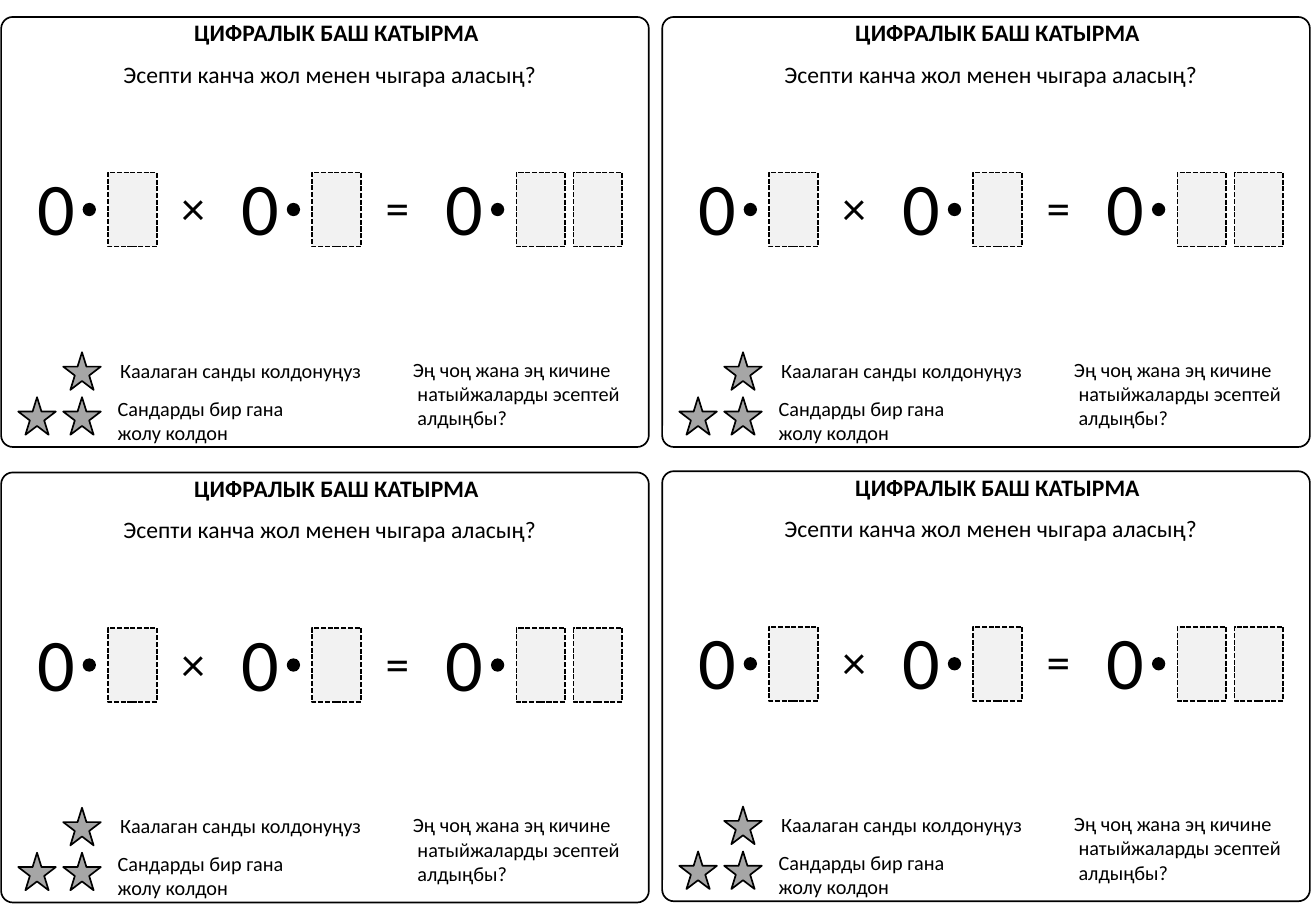
"""Builds a sheet of four identical decimal multiplication puzzle cards."""
from pptx import Presentation
from pptx.dml.color import RGBColor
from pptx.enum.dml import MSO_LINE
from pptx.enum.shapes import MSO_SHAPE as Shape
from pptx.enum.text import MSO_AUTO_SIZE as AutoSize, PP_ALIGN as Align
from pptx.util import Inches, Pt

COLORS = {"ink": "000000", "star": "A6A6A6", "digit": "F2F2F2"}
FONT = "Calibri"
CARD_W, CARD_H = 5.33, 3.54
CARD_ORIGINS = [(0.01, 0.14), (5.45, 0.14), (0.01, 3.89), (5.45, 3.88)]
STAR = 0.31
STAR_SPOTS = [(0.51, 2.76), (0.51, 3.13), (0.14, 3.13)]
TERM_LEFT, TERM_STEP = 0.2, 1.68
DIGIT_W, DIGIT_H, DIGIT_STEP = 0.4, 0.61, 0.47
DIGIT_COUNTS = [1, 1, 2]
SIGNS = ["×", "="]
DOT = 0.11
LABELS = [
    (1.49, 0.01, 2.56, 0.24, ["ЦИФРАЛЫК БАШ КАТЫРМА"], 14, Align.LEFT),
    (0.89, 0.3, 3.63, 0.34, ["Эсепти канча жол менен чыгара аласың?"], 14, Align.CENTER),
    (0.88, 2.76, 2.21, 0.3, ["Каалаган санды колдонуңуз"], 12, Align.LEFT),
    (0.86, 3.07, 1.62, 0.5, ["Сандарды бир гана", "жолу колдон"], 12, Align.LEFT),
    (3.29, 2.75, 1.93, 0.91,
     ["Эң чоң жана эң кичине", " натыйжаларды эсептей", " алдыңбы?"], 12, Align.LEFT),
]


def add_figure(shapes, kind, left, top, width, height, fill=None, outlined=True):
    figure = shapes.add_shape(kind, Inches(left), Inches(top), Inches(width), Inches(height))
    figure.shadow.inherit = False
    if fill:
        figure.fill.solid()
        figure.fill.fore_color.rgb = RGBColor.from_string(COLORS[fill])
    else:
        figure.fill.background()
    if outlined:
        figure.line.color.rgb = RGBColor.from_string(COLORS["ink"])
        figure.line.width = Pt(1)
    else:
        figure.line.fill.background()
    return figure


def add_label(shapes, left, top, width, height, lines, size, align=Align.LEFT):
    label = shapes.add_textbox(Inches(left), Inches(top), Inches(width), Inches(height))
    frame = label.text_frame
    frame.text = "\n".join(lines)
    frame.word_wrap = False
    frame.auto_size = AutoSize.SHAPE_TO_FIT_TEXT
    for paragraph in frame.paragraphs:
        paragraph.alignment = align
        for run in paragraph.runs:
            run.font.name = FONT
            run.font.size = Pt(size)
            run.font.color.rgb = RGBColor.from_string(COLORS["ink"])
    return frame


prs = Presentation()
prs.slide_width, prs.slide_height = Inches(10.83), Inches(7.5)
slide = prs.slides.add_slide(prs.slide_layouts[6])

for x, y in CARD_ORIGINS:
    card = add_figure(slide.shapes, Shape.ROUNDED_RECTANGLE, x, y, CARD_W, CARD_H)
    card.adjustments[0] = 0.027

    heading, *_ = [
        add_label(slide.shapes, x + left, y + top, *rest) for left, top, *rest in LABELS
    ]
    heading.margin_top = heading.margin_bottom = 0
    heading.paragraphs[0].runs[0].font.bold = True

    for left, top in STAR_SPOTS:
        add_figure(slide.shapes, Shape.STAR_5_POINT, x + left, y + top, STAR, STAR, "star")

    for term, digit_count in enumerate(DIGIT_COUNTS):
        term_x = x + TERM_LEFT + term * TERM_STEP
        decimal = slide.shapes.add_group_shape().shapes
        for place in range(digit_count):
            digit = add_figure(decimal, Shape.RECTANGLE, term_x + 0.68 + place * DIGIT_STEP,
                               y + 1.28, DIGIT_W, DIGIT_H, "digit")
            digit.line.dash_style = MSO_LINE.SQUARE_DOT
        add_figure(decimal, Shape.OVAL, term_x + 0.47, y + 1.53, DOT, DOT, "ink", outlined=False)
        add_label(decimal, term_x, y + 1.14, 0.51, 0.84, ["0"], 44)

    for gap, sign in enumerate(SIGNS):
        add_label(slide.shapes, x + 1.38 + gap * TERM_STEP, y + 1.28, 0.4, 0.57,
                  [sign], 28, Align.CENTER)

prs.save("out.pptx")
